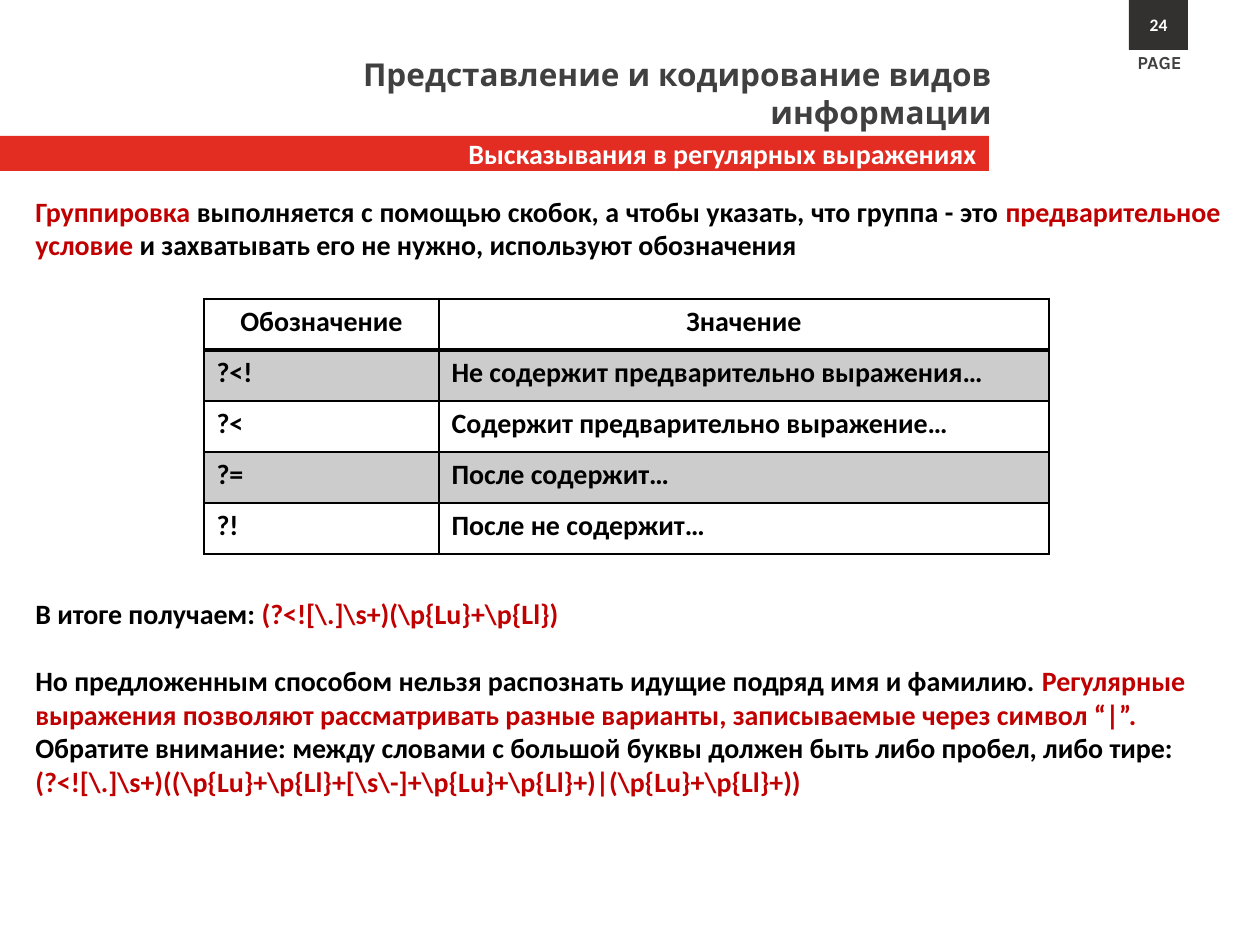
from dataclasses import dataclass

from lxml import etree
from pptx import Presentation
from pptx import util as u
from pptx.dml.color import RGBColor
from pptx.enum import shapes, text
from pptx.oxml.ns import qn


@dataclass(frozen=True)
class Theme:
    body: str = "Calibri"
    display: str = "Karla"
    red: str = "E32C22"
    accent: str = "C00000"
    dark: str = "333030"
    gray: str = "404040"
    band: str = "CCCCCC"
    black: str = "000000"
    white: str = "FFFFFF"
    title_pt: float = 18
    body_pt: float = 16
    label_pt: float = 10.5
    number_pt: float = 10
    line_pt: float = 19.15


T = Theme()
W, H = 1260, 945
ALIGN = text.PP_ALIGN

TITLE = "Представление и кодирование видов информации"
SUBTITLE = "Высказывания в регулярных выражениях"
LABEL = "PAGE"
NUMBER = "24"

# each paragraph: alignment, blank lines above, (wording, colour) runs
BODY = [
    (ALIGN.JUSTIFY, 0, [
        ("Группировка", T.accent),
        (" выполняется с помощью скобок, а чтобы указать, что группа - это ", T.black),
        ("предварительное условие", T.accent),
        (" и захватывать его не нужно, используют обозначения", T.black),
    ]),
    (ALIGN.LEFT, 10, [
        ("В итоге получаем: ", T.black),
        (r"(?<![\.]\s+)(\p{Lu}+\p{Ll})", T.accent),
    ]),
    (ALIGN.LEFT, 1, [
        ("Но предложенным способом нельзя распознать идущие подряд имя и фамилию. ", T.black),
        ("Регулярные выражения позволяют рассматривать разные варианты, "
         "записываемые через символ “|”. ", T.accent),
        ("Обратите внимание: между словами с большой буквы должен быть "
         "либо пробел, либо тире:", T.black),
    ]),
    (ALIGN.LEFT, 0, [
        (r"(?<![\.]\s+)((\p{Lu}+\p{Ll}+[\s\-]+\p{Lu}+\p{Ll}+)|(\p{Lu}+\p{Ll}+))", T.accent),
    ]),
]

ROWS = [
    ("Обозначение", "Значение"),
    ("?<!", "Не содержит предварительно выражения…"),
    ("?<", "Содержит предварительно выражение…"),
    ("?=", "После содержит…"),
    ("?!", "После не содержит…"),
]
COLS = (235, 610)
ROW_H = 51


def px(n):
    return u.Emu(round(n * 914400 / 126))


def style(r, color, size=T.body_pt, face=T.body):
    r.font.name = face
    r.font.size = u.Pt(size)
    r.font.bold = True
    r.font.color.rgb = RGBColor.from_string(color)


def write(tf, words, align, color, size=T.body_pt, face=T.body):
    tf.text = words
    p = tf.paragraphs[0]
    p.alignment = align
    style(p.runs[0], color, size, face)


def textbox(slide, box, wrap=True):
    tf = slide.shapes.add_textbox(*map(px, box)).text_frame
    tf.word_wrap = wrap
    return tf


def block(slide, box, fill, words, align, size):
    s = slide.shapes.add_shape(shapes.MSO_SHAPE.RECTANGLE, *map(px, box))
    s.shadow.inherit = False
    s.fill.solid()
    s.fill.fore_color.rgb = RGBColor.from_string(fill)
    s.line.fill.background()
    tf = s.text_frame
    tf.vertical_anchor = text.MSO_ANCHOR.MIDDLE
    write(tf, words, align, T.white, size)


def border(cell, side, width):
    tc_pr = cell._tc.get_or_add_tcPr()
    ln = etree.SubElement(tc_pr, qn(f"a:ln{side}"), w=str(u.Pt(width)))
    fill = etree.SubElement(ln, qn("a:solidFill"))
    etree.SubElement(fill, qn("a:srgbClr"), val=T.black)


def add_body(slide):
    tf = textbox(slide, (23, 188, 1210, 678))
    for i, (align, gap, runs) in enumerate(BODY):
        p = tf.paragraphs[0] if i == 0 else tf.add_paragraph()
        p.alignment = align
        if gap:
            p.space_before = u.Pt(gap * T.line_pt)
        for words, color in runs:
            r = p.add_run()
            r.text = words
            style(r, color)


def add_notation_table(slide):
    box = (204, 299, sum(COLS), ROW_H * len(ROWS))
    table = slide.shapes.add_table(len(ROWS), len(COLS), *map(px, box)).table
    for col, width in zip(table.columns, COLS):
        col.width = px(width)
    for i, row in enumerate(ROWS):
        table.rows[i].height = px(ROW_H)
        for j, words in enumerate(row):
            cell = table.cell(i, j)
            for side in "LRTB":
                heavy = (i, side) in ((0, "B"), (1, "T"))
                border(cell, side, 2 if heavy else 1)
            if i % 2:
                cell.fill.solid()
                cell.fill.fore_color.rgb = RGBColor.from_string(T.band)
            else:
                cell.fill.background()
            align = ALIGN.LEFT if i else ALIGN.CENTER
            write(cell.text_frame, words, align, T.black)


def main():
    prs = Presentation()
    prs.slide_width, prs.slide_height = px(W), px(H)
    slide = prs.slides.add_slide(prs.slide_layouts[6])
    block(slide, (0, 136, 989, 35), T.red, SUBTITLE, ALIGN.RIGHT, T.body_pt)
    write(textbox(slide, (1125, 45, 74, 35), wrap=False), LABEL,
          ALIGN.LEFT, T.gray, T.label_pt, T.display)
    block(slide, (1129, 0, 59, 50), T.dark, NUMBER, ALIGN.CENTER, T.number_pt)
    write(textbox(slide, (144, 49, 860, 50)), TITLE,
          ALIGN.RIGHT, T.gray, T.title_pt, T.display)
    add_body(slide)
    add_notation_table(slide)
    prs.save("out.pptx")


if __name__ == "__main__":
    main()
